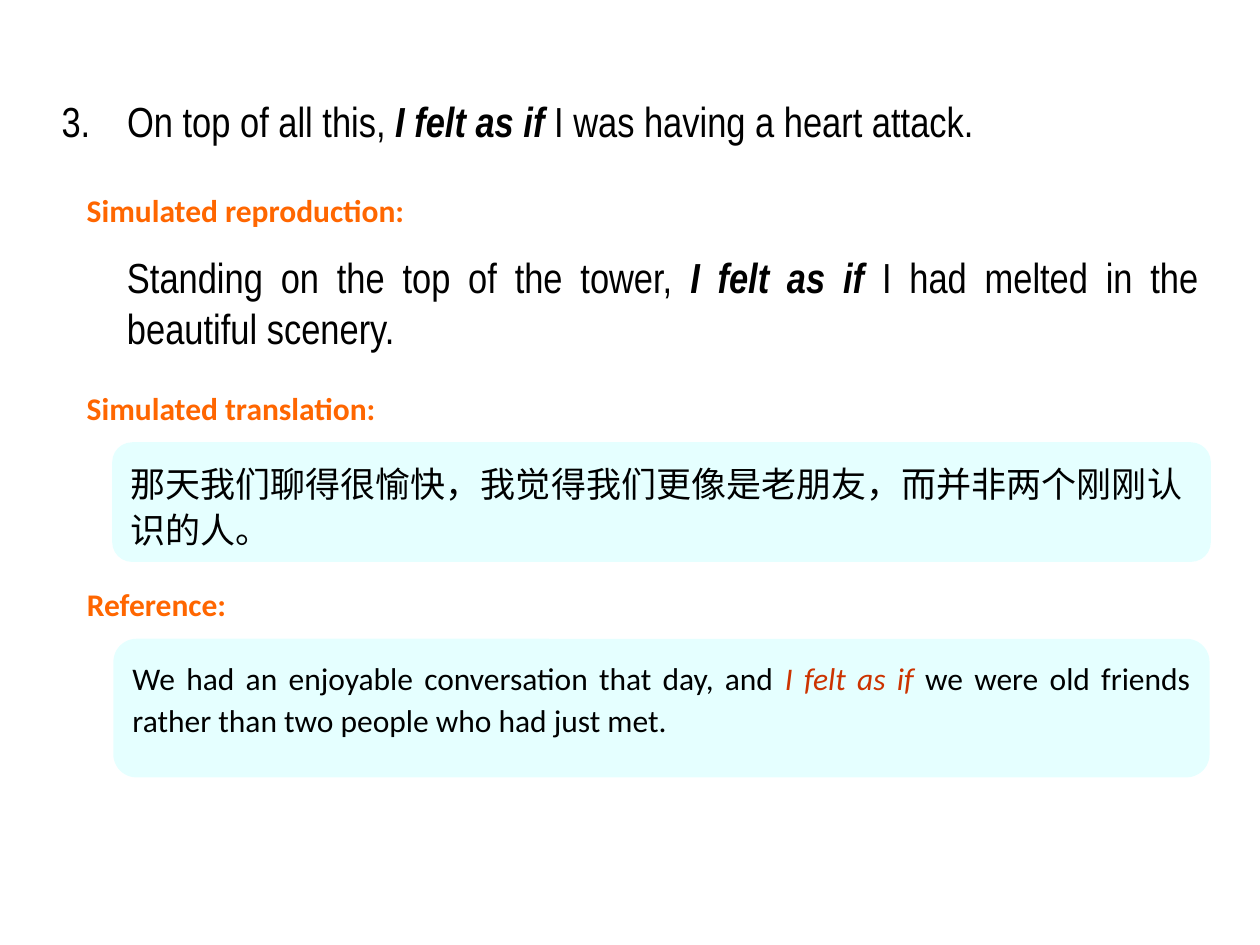
from lxml import etree
from pptx import Presentation
from pptx.dml.color import RGBColor
from pptx.enum.shapes import MSO_SHAPE
from pptx.enum.text import MSO_ANCHOR, MSO_AUTO_SIZE, PP_ALIGN
from pptx.oxml.ns import qn
from pptx.util import Inches, Pt

BLACK = RGBColor(0x00, 0x00, 0x00)
ORANGE = RGBColor(0xFF, 0x66, 0x00)
RED = RGBColor(0xCC, 0x33, 0x00)
PALE_CYAN = RGBColor(0xCC, 0xFF, 0xFF)

ROUNDED = MSO_SHAPE.FLOWCHART_ALTERNATE_PROCESS
JUSTIFY, LEFT = PP_ALIGN.JUSTIFY, PP_ALIGN.LEFT
TOP = MSO_ANCHOR.TOP
GROW = MSO_AUTO_SIZE.SHAPE_TO_FIT_TEXT

# The slide is a grid of 100 columns by 75 rows
COLUMNS, ROWS = 100, 75

SENTENCE = dict(name="Arial Narrow", size=Pt(24))
LABEL = dict(name="Calibri", size=Pt(18), bold=True)
CHINESE = dict(name="Noto Sans CJK SC", size=Pt(20))
ENGLISH = dict(name="Calibri", size=Pt(18))
STRONG = dict(bold=True, italic=True)
ITALIC = dict(italic=True)

PHRASE = "I felt as if"


class ExerciseSlide:
    def __init__(self, deck):
        self.slide = deck.slides.add_slide(deck.slide_layouts[6])
        self.column = deck.slide_width / COLUMNS
        self.row = deck.slide_height / ROWS

    def place(self, left, top, width, height):
        return [int(n * unit) for n, unit in zip(
            (left, top, width, height), (self.column, self.row) * 2)]

    def fill_text(self, shape, paragraphs, font, color=BLACK, align=JUSTIFY,
                  spacing=None, wrap=True):
        """Each paragraph is a list of (text, extra font values, colour or None)."""
        frame = shape.text_frame
        frame.word_wrap, frame.auto_size = wrap, GROW
        frame.vertical_anchor = TOP
        for index, pieces in enumerate(paragraphs):
            paragraph = frame.add_paragraph() if index else frame.paragraphs[0]
            paragraph.alignment = align
            if spacing:
                paragraph.line_spacing = spacing
            for text, extra, accent in pieces:
                run = paragraph.add_run()
                run.text = text
                for key, value in {**font, **extra}.items():
                    setattr(run.font, key, value)
                run.font.color.rgb = accent or color
                east_asian = etree.SubElement(run._r.get_or_add_rPr(), qn("a:ea"))
                east_asian.set("typeface", font["name"])

    def sentence(self, area, pieces, hanging=None):
        box = self.slide.shapes.add_textbox(*self.place(*area))
        self.fill_text(box, [pieces], SENTENCE)
        if hanging:
            properties = box.text_frame.paragraphs[0]._p.get_or_add_pPr()
            properties.set("marL", str(hanging))
            properties.set("indent", str(-hanging))

    def label(self, text, top, width):
        box = self.slide.shapes.add_textbox(*self.place(5.9, top, width, 5))
        self.fill_text(box, [[(text, {}, None)]], LABEL, ORANGE, LEFT, wrap=False)

    def panel(self, area, paragraphs, font):
        panel = self.slide.shapes.add_shape(ROUNDED, *self.place(*area))
        panel.shadow.inherit = False
        panel.line.fill.background()
        panel.fill.solid()
        panel.fill.fore_color.rgb = PALE_CYAN
        tint = panel._element.spPr.find(qn("a:solidFill"))[0]
        etree.SubElement(tint, qn("a:alpha")).set("val", "50000")
        frame = panel.text_frame
        frame.margin_top = frame.margin_bottom = Inches(0.08)
        self.fill_text(panel, paragraphs, font, spacing=1.1)


def main():
    deck = Presentation()
    deck.slide_width, deck.slide_height = Inches(10), Inches(7.5)
    exercise = ExerciseSlide(deck)

    # Model sentence
    exercise.sentence((3.9, 7.1, 91.9, 5), [
        ("3.\tOn top of all this, ", {}, None),
        (PHRASE, STRONG, None),
        (" I was having a heart attack.", {}, None),
    ], hanging=Inches(0.52))

    # Reproduction
    exercise.label("Simulated reproduction:", 14.7, 33.6)
    exercise.sentence((9.1, 19.5, 87, 9), [
        ("Standing on the top of the tower, ", {}, None),
        (PHRASE, STRONG, None),
        (" I had melted in the beautiful scenery.", {}, None),
    ])

    # Translation
    exercise.label("Simulated translation:", 30.4, 30.7)
    exercise.panel((8.9, 35.1, 87.2, 9.5), [
        [("那天我们聊得很愉快，我觉得我们更像是老朋友，而并非两个刚刚认", {}, None)],
        [("识的人。", {}, None)],
    ], CHINESE)

    # Reference answer
    exercise.label("Reference:", 45.9, 16.2)
    exercise.panel((9, 50.7, 87, 11), [[
        ("We had an enjoyable conversation that day, and ", {}, None),
        (PHRASE, ITALIC, RED),
        (" we were old friends rather than two people who had just met.", {}, None),
    ]], ENGLISH)

    deck.save("out.pptx")


if __name__ == "__main__":
    main()
